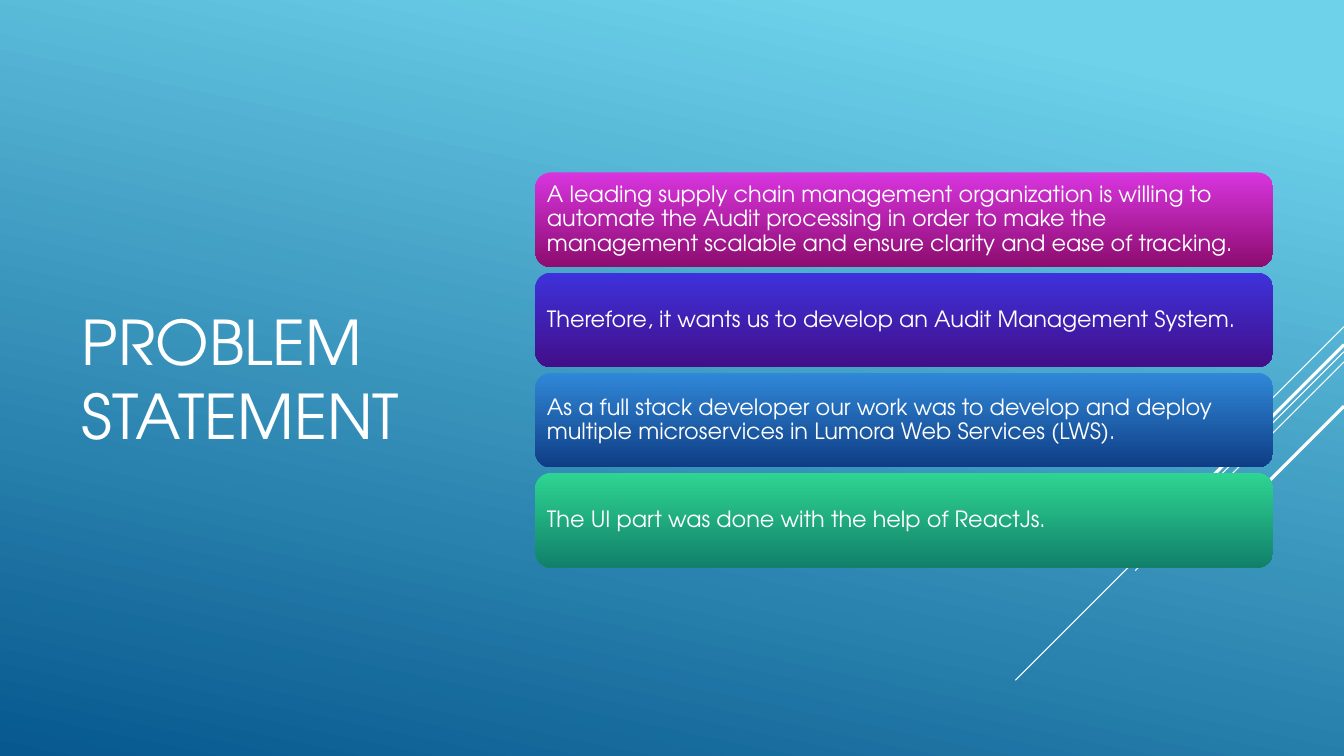
from pptx import Presentation, util as u
from pptx.dml.color import RGBColor
from pptx.enum import shapes, text
from pptx.oxml import ns, xmlchemy as xml

WHITE = RGBColor(0xFF, 0xFF, 0xFF)
SKY = RGBColor(0x6E, 0xD2, 0xEB)
SEA = RGBColor(0x06, 0x58, 0x8E)
PINK = RGBColor(0xD8, 0x35, 0xDF)
PLUM = RGBColor(0x8D, 0x0C, 0x6F)
VIOLET = RGBColor(0x3E, 0x32, 0xDC)
GRAPE = RGBColor(0x42, 0x0E, 0x89)
BLUE = RGBColor(0x30, 0x88, 0xD8)
NAVY = RGBColor(0x0F, 0x3D, 0x85)
MINT = RGBColor(0x2E, 0xD5, 0x92)
PINE = RGBColor(0x11, 0x80, 0x6A)

BARS = [
    ("A leading supply chain management organization is willing to automate "
     "the Audit processing in order to make the management scalable and "
     "ensure clarity and ease of tracking.", PINK, PLUM),
    ("Therefore, it wants us to develop an Audit Management System.",
     VIOLET, GRAPE),
    ("As a full stack developer our work was to develop and deploy multiple "
     "microservices in Lumora Web Services (LWS).", BLUE, NAVY),
    ("The UI part was done with the help of ReactJs.", MINT, PINE),
]
STREAKS = [(43.2, 7.5, 0.75), (46.53, 24.45, 0.75), (47.87, 15.53, 0.75),
           (45.6, 14.33, 2.25), (53.73, 10.43, 2.25)]


def write(frame, words, size=16, color=WHITE, face="TeX Gyre Adventor",
          space=1.0, inset=None):
    frame.word_wrap = True
    frame.auto_size = text.MSO_AUTO_SIZE.NONE
    frame.vertical_anchor = text.MSO_ANCHOR.MIDDLE
    if inset is not None:
        frame.margin_left = frame.margin_right = u.Inches(inset)
        frame.margin_top = frame.margin_bottom = u.Inches(inset)
    frame.text = words
    para = frame.paragraphs[0]
    para.alignment = text.PP_ALIGN.LEFT
    para.line_spacing = space
    para.font.size = u.Pt(size)
    para.font.name = face
    para.font.color.rgb = color


def blend(fill, first, last, angle=90, start=0):
    fill.gradient()
    fill.gradient_angle = 360 - angle
    for stop, color, place in zip(fill.gradient_stops, (first, last), (start, 1)):
        stop.color.rgb = color
        stop.position = place


class Deck:
    def __init__(self):
        self.show = Presentation()
        self.show.slide_width = u.Inches(13.33)
        self.show.slide_height = u.Inches(7.5)
        self.col = self.show.slide_width / 100
        self.row = self.show.slide_height / 100
        self.slide = self.show.slides.add_slide(self.show.slide_layouts[5])
        blend(self.slide.background.fill, SKY, SEA, angle=102, start=0.1)

    def box(self, x, y, w, h):
        return (int(x * self.col), int(y * self.row),
                int(w * self.col), int(h * self.row))

    def title(self, words, *place):
        head = self.slide.shapes.title
        head.left, head.top, head.width, head.height = self.box(*place)
        write(head.text_frame, words, size=44)

    def streak(self, y, run, weight):
        right, top, wide, _ = self.box(100, y, run, 0)
        line = self.slide.shapes.add_connector(
            shapes.MSO_CONNECTOR.STRAIGHT, right, top, right - wide, top + wide)
        line.line.color.rgb = WHITE
        line.line.width = u.Pt(weight)
        props = line._element.spPr
        props.append(xml.OxmlElement("a:effectLst"))

    def bar(self, words, first, last, *place):
        bar = self.slide.shapes.add_shape(
            shapes.MSO_SHAPE.ROUNDED_RECTANGLE, *self.box(*place))
        bar.shadow.inherit = False
        bar.line.fill.background()
        blend(bar.fill, first, last)
        write(bar.text_frame, words, space=0.9, inset=0.07)


def main():
    deck = Deck()
    for streak in STREAKS:
        deck.streak(*streak)
    deck.title("PROBLEM STATEMENT", 5.33, 20.13, 29.1, 59.73)
    for i, (words, first, last) in enumerate(BARS):
        deck.bar(words, first, last, 39.83, 22.8 + 13.25 * i, 54.9, 12.53)
    deck.show.save("out.pptx")


if __name__ == "__main__":
    main()
